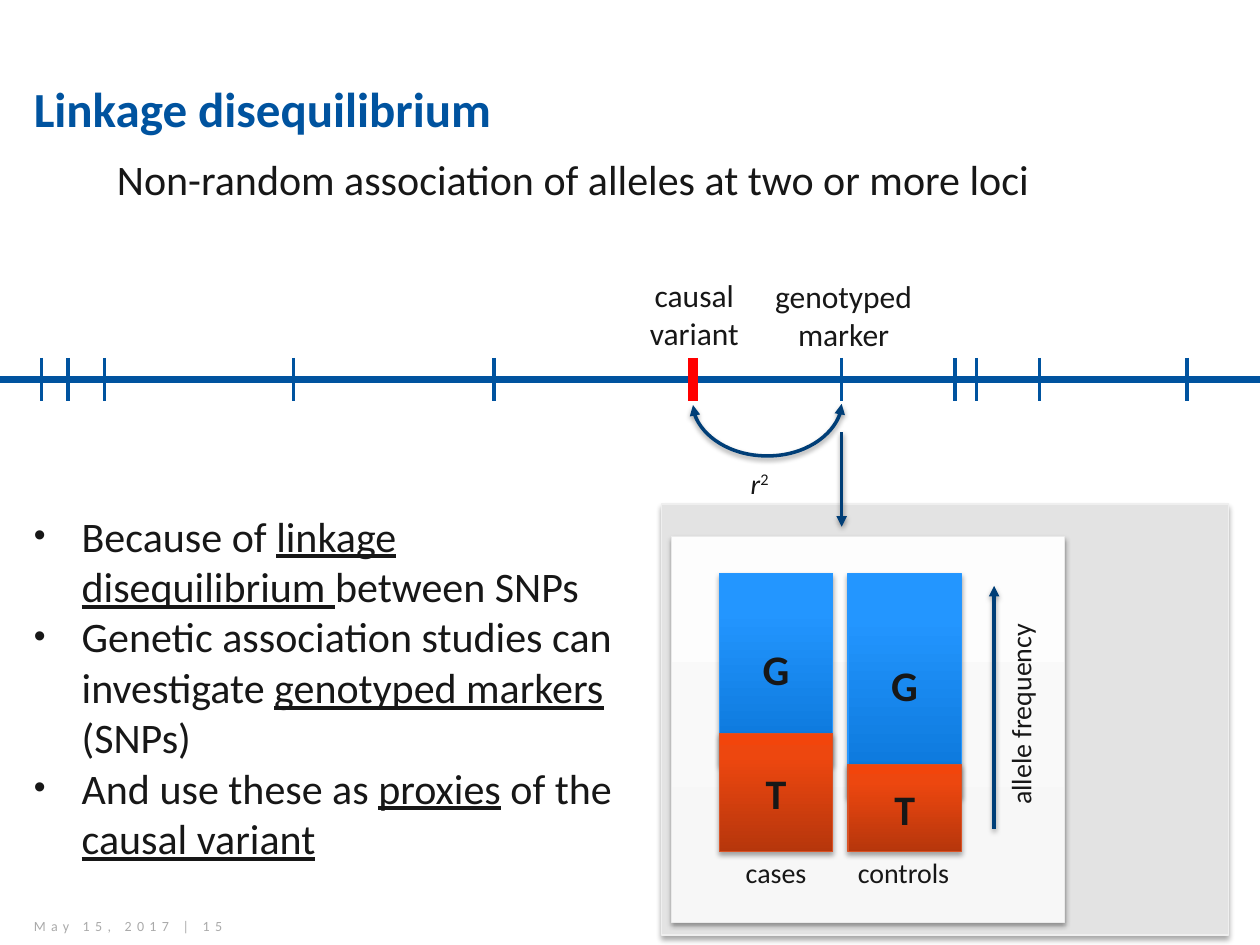
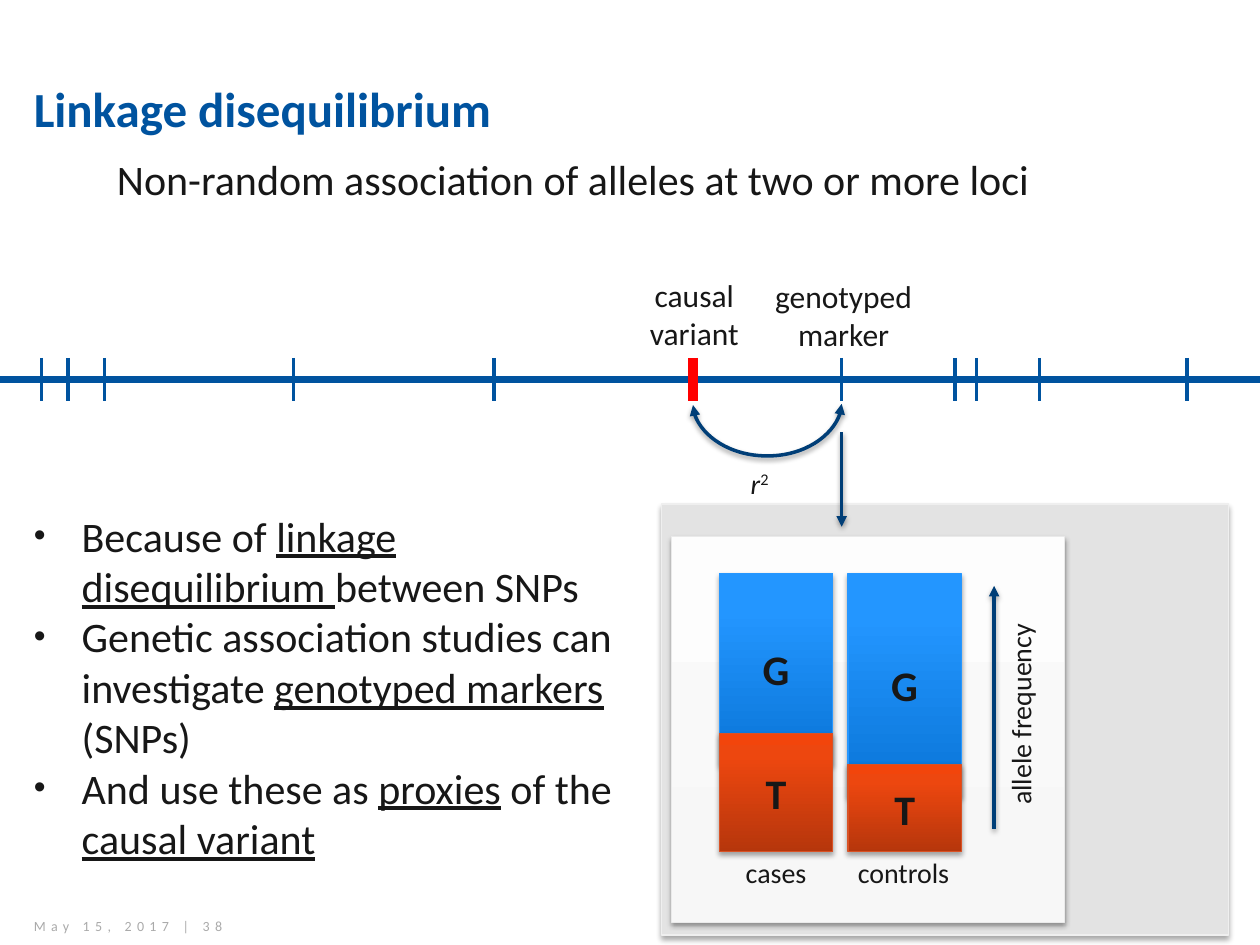
import pptx
import pptx.dml.color
import pptx.enum.shapes
import pptx.enum.text
import pptx.oxml.ns
import pptx.util
from lxml import etree

Inches = pptx.util.Inches
Pt = pptx.util.Pt
RGBColor = pptx.dml.color.RGBColor
Align = pptx.enum.text.PP_ALIGN
Anchor = pptx.enum.text.MSO_ANCHOR
Connector = pptx.enum.shapes.MSO_CONNECTOR
qn = pptx.oxml.ns.qn

BLUE = RGBColor(0x00, 0x53, 0x9F)
NAVY = RGBColor(0x00, 0x3E, 0x77)
RED = RGBColor(0xFF, 0x00, 0x00)
INK = RGBColor(0x17, 0x17, 0x17)
FOOTER_GREY = RGBColor(0xAA, 0xAA, 0xAA)
PANEL_GREY = RGBColor(0xE3, 0xE3, 0xE3)
PANEL_EDGE = RGBColor(0xEF, 0xEF, 0xEF)
CARD_EDGE = RGBColor(0xEA, 0xEA, 0xEA)
G_EDGE = RGBColor(0x26, 0x97, 0xFF)
T_EDGE = RGBColor(0xD9, 0x52, 0x25)

CARD_FILL = [(0, "F7F7F7"), (35, "F9F9F9"), (100, "FDFDFD")]
G_FILL = [(0, "0974D6"), (80, "2396FF"), (100, "2496FF")]
T_FILL = [(0, "B6360C"), (80, "ED470F"), (100, "F2450B")]

SHAPE_SHADOW = (35, 1.8)
LINE_SHADOW = (38, 1.6)

TICKS = [6.68, 7.58, 7.75, 8.25, 9.42, 0.33, 0.54, 0.83, 2.33, 3.92]
CHROMOSOME_Y = 3.01
TICK_TOP, TICK_BOTTOM = 2.84, 3.18
BAR_TOP, BAR_BASE, BAR_WIDTH, BAR_OVERLAP = 4.55, 6.76, 0.9, 0.25

BULLETS = [
    [("Because of ", False), ("linkage disequilibrium ", True), ("between SNPs", False)],
    [("Genetic association studies can investigate ", False),
     ("genotyped markers", True), (" (SNPs)", False)],
    [("And use these as ", False), ("proxies", True), (" of the ", False),
     ("causal variant", True)],
]


def add_element(parent, tag, **attributes):
    element = etree.SubElement(parent, qn(tag))
    for name, value in attributes.items():
        element.set(name, str(value))
    return element


class SlideWriter:
    font_name = "Calibri"

    def __init__(self, deck):
        self.deck = deck
        self.page = None

    def new_page(self):
        self.page = self.deck.slides.add_slide(self.deck.slide_layouts[6])

    def style(self, para, size, color=INK, bold=False):
        font = para.font
        font.name = self.font_name
        font.size = Pt(size)
        font.color.rgb = color
        font.bold = bold

    def shadow(self, effects, strength):
        alpha, distance = strength
        outer = add_element(effects, "a:outerShdw", blurRad=Pt(3.1), dist=Pt(distance),
                            dir=90 * 60000, rotWithShape=0)
        black = add_element(outer, "a:srgbClr", val="000000")
        add_element(black, "a:alpha", val=alpha * 1000)

    def text(self, words, left, top, width, height, size, color=INK, bold=False,
             align=None, anchor=Anchor.TOP, wrap=True):
        box = self.page.shapes.add_textbox(Inches(left), Inches(top),
                                           Inches(width), Inches(height))
        frame = box.text_frame
        frame.word_wrap = wrap
        frame.vertical_anchor = anchor
        para = frame.paragraphs[0]
        para.text = words
        para.alignment = align
        self.style(para, size, color, bold)
        return box

    def rectangle(self, left, top, width, height, fill, edge, strength=SHAPE_SHADOW, letter=None):
        box = self.page.shapes.add_shape(
            pptx.enum.shapes.MSO_SHAPE.RECTANGLE,
            Inches(left), Inches(top), Inches(width), Inches(height))
        if isinstance(fill, RGBColor):
            box.fill.solid()
            box.fill.fore_color.rgb = fill
        else:
            box.fill.gradient()
            box.fill.gradient_angle = 90
            stops = box._element.spPr.find(".//" + qn("a:gsLst"))
            stops.clear()
            for position, color in fill:
                stop = add_element(stops, "a:gs", pos=position * 1000)
                add_element(stop, "a:srgbClr", val=color)
        box.line.color.rgb = edge
        box.line.width = Pt(0.75)
        box.shadow.inherit = False
        self.shadow(box._element.spPr.find(qn("a:effectLst")), strength)
        if letter:
            frame = box.text_frame
            frame.word_wrap = False
            frame.vertical_anchor = Anchor.MIDDLE
            para = frame.paragraphs[0]
            para.text = letter
            para.alignment = Align.CENTER
            self.style(para, 24, bold=True)

    def line(self, x1, y1, x2, y2, color=BLUE, width=2, arrows=(), kind=Connector.STRAIGHT):
        line = self.page.shapes.add_connector(kind, Inches(x1), Inches(y1), Inches(x2), Inches(y2))
        line.line.color.rgb = color
        line.line.width = Pt(width)
        properties = line._element.spPr
        for end in arrows:
            add_element(properties.find(qn("a:ln")), end, type="triangle")
        effects = add_element(properties, "a:effectLst")
        if arrows:
            self.shadow(effects, LINE_SHADOW)
        return line

    def hanging_arc(self, left, right, y, depth):
        middle, half, thickness = (left + right) / 2, (right - left) / 2, 0.01
        arc = self.line(middle - thickness / 2, y - half, middle + thickness / 2, y + half,
                        NAVY, arrows=("a:headEnd", "a:tailEnd"), kind=Connector.CURVE)
        properties = arc._element.spPr
        properties.find(qn("a:xfrm")).set("rot", str(90 * 60000))
        guides = properties.find(qn("a:prstGeom")).find(qn("a:avLst"))
        add_element(guides, "a:gd", name="adj1", fmla=f"val {round(depth / thickness * 100000)}")

    def allele_bar(self, left, split):
        self.rectangle(left, BAR_TOP, BAR_WIDTH, split + BAR_OVERLAP - BAR_TOP,
                       G_FILL, G_EDGE, letter="G")
        self.rectangle(left, split, BAR_WIDTH, BAR_BASE - split, T_FILL, T_EDGE, letter="T")

    def bullets(self, items, left, top, width, height):
        box = self.text("", left, top, width, height, 24)
        frame = box.text_frame
        for index, item in enumerate(items):
            para = frame.add_paragraph() if index else frame.paragraphs[0]
            properties = para._p.get_or_add_pPr()
            properties.clear()
            properties.set("marL", str(Inches(0.38)))
            properties.set("indent", str(Inches(-0.38)))
            add_element(properties, "a:buSzPct", val=80000)
            add_element(properties, "a:buFont", typeface="Arial")
            add_element(properties, "a:buChar", char="•")
            self.style(para, 24)
            for words, underlined in item:
                span = para.add_run()
                span.text = words
                if underlined:
                    span.font.underline = True

    def r_squared(self, left, top):
        box = self.text("", left, top, 0.37, 0.37, 16, wrap=False)
        para = box.text_frame.paragraphs[0]
        symbol = para.add_run()
        symbol.text = "r"
        symbol.font.italic = True
        power = para.add_run()
        power.text = "2"
        power._r.get_or_add_rPr().set("baseline", "30000")

    def heading(self, words):
        self.text(words, 0.17, 0.38, 8.83, 0.95, 28, BLUE, True, anchor=Anchor.MIDDLE)

    def footer(self, number):
        box = self.text(f"May 15, 2017 | {number}", 0.17, 7.25, 2.56, 0.2, 8,
                        FOOTER_GREY, anchor=Anchor.MIDDLE)
        span = box.text_frame.paragraphs[0].runs[0]
        span._r.get_or_add_rPr().set("spc", "300")


def add_frequency_panel(writer):
    writer.rectangle(5.25, 4, 4.5, 3.42, PANEL_GREY, PANEL_EDGE)
    writer.rectangle(5.33, 4.26, 3.12, 3.06, CARD_FILL, CARD_EDGE, LINE_SHADOW)
    writer.allele_bar(5.71, 5.82)
    writer.allele_bar(6.73, 6.07)
    writer.text("cases", 5.82, 6.74, 0.69, 0.37, 16, wrap=False)
    writer.text("controls", 6.71, 6.74, 0.98, 0.37, 16, wrap=False)
    writer.line(7.89, 4.65, 7.89, 6.58, NAVY, arrows=("a:headEnd",))
    axis = writer.text("allele frequency", 7.27, 5.47, 1.66, 0.37, 16, wrap=False)
    axis.rotation = 270


def add_chromosome(writer):
    writer.line(6.68, 3.43, 6.68, 4.18, NAVY, arrows=("a:tailEnd",))
    writer.r_squared(5.86, 3.65)
    writer.hanging_arc(5.5, 6.68, 3.21, 0.42)
    writer.text("genotyped\vmarker", 6, 2.15, 1.39, 0.7, 18,
                align=Align.CENTER, anchor=Anchor.MIDDLE)
    writer.line(0, CHROMOSOME_Y, 10, CHROMOSOME_Y, width=4)
    for x in TICKS:
        writer.line(x, TICK_TOP, x, TICK_BOTTOM)
    writer.text("causal variant", 4.92, 2.14, 1.18, 0.7, 18,
                align=Align.CENTER, anchor=Anchor.MIDDLE)
    writer.line(5.5, TICK_TOP, 5.5, TICK_BOTTOM, RED, 6)


def add_linkage_slide(writer, number):
    writer.new_page()
    writer.heading("Linkage disequilibrium")
    writer.footer(number)
    add_frequency_panel(writer)
    add_chromosome(writer)
    subtitle = writer.text("Non-random association of alleles at two or more loci",
                           0.33, 1.17, 9.08, 0.5, 24)
    subtitle.text_frame.paragraphs[0]._p.get_or_add_pPr().set("marL", str(Inches(0.5)))
    writer.bullets(BULLETS, 0.17, 4, 5, 3.74)


def main():
    deck = pptx.Presentation()
    deck.slide_width = Inches(10)
    deck.slide_height = Inches(7.5)
    writer = SlideWriter(deck)
    for number in (15, 38):
        add_linkage_slide(writer, number)
    deck.save("out.pptx")


if __name__ == "__main__":
    main()
